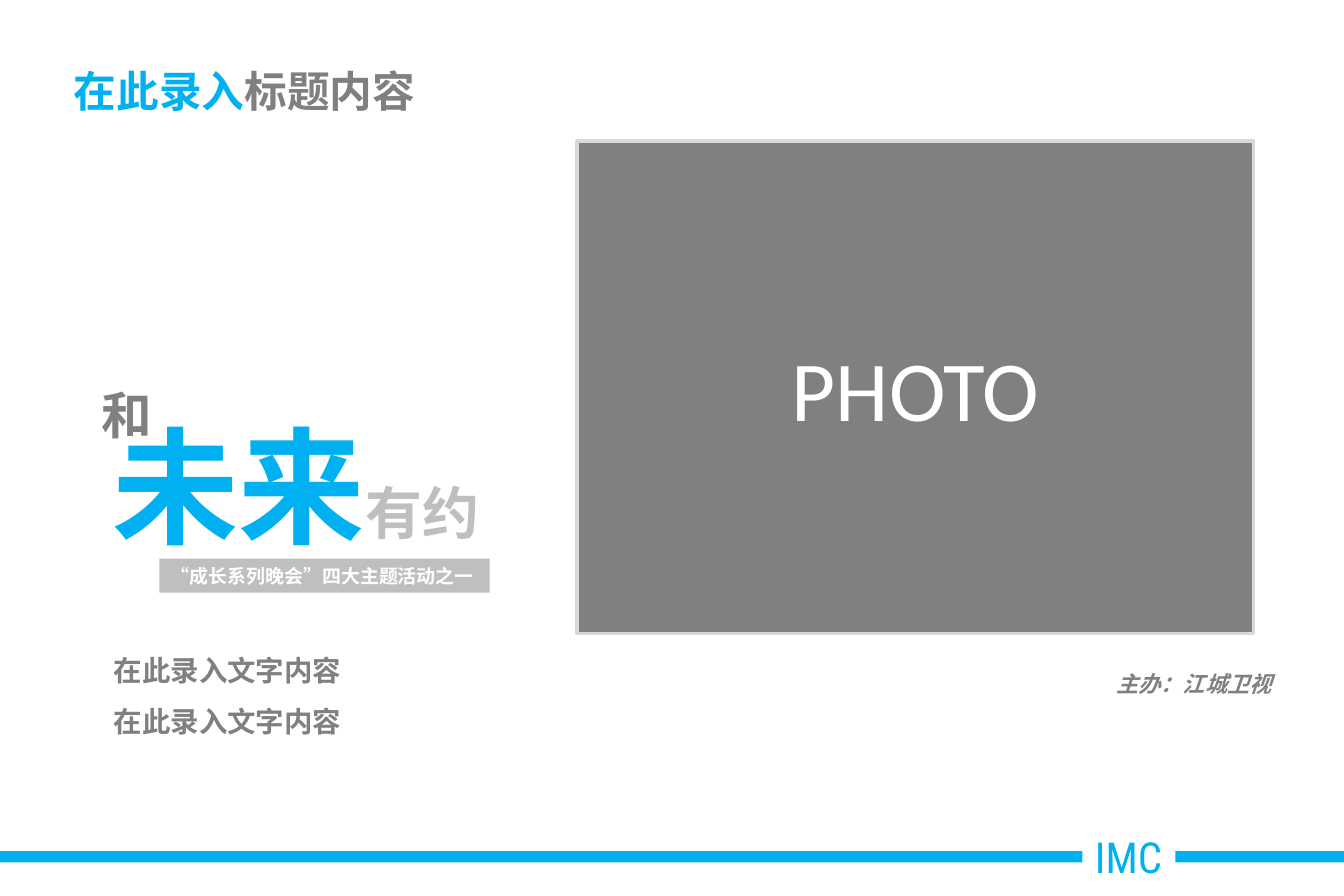
from dataclasses import dataclass

from lxml.etree import SubElement
from pptx import Presentation
from pptx.dml.color import RGBColor
from pptx.enum.shapes import MSO_SHAPE as Kind
from pptx.enum.text import MSO_ANCHOR as Anchor, MSO_AUTO_SIZE as Fit, PP_ALIGN as Align
from pptx.oxml.ns import qn
from pptx.shapes.autoshape import Shape
from pptx.slide import Slide
from pptx.util import Cm, Pt

BLUE = RGBColor(0x00, 0xB0, 0xF0)
GRAY = RGBColor(0x80, 0x80, 0x80)
SILVER = RGBColor(0xBF, 0xBF, 0xBF)
PALE = RGBColor(0xD9, 0xD9, 0xD9)
WHITE = RGBColor(0xFF, 0xFF, 0xFF)

HAN = "Noto Sans CJK SC"
WIDE = (0.28, 0.15)
SLIM = (0.25, 0.13)


@dataclass(frozen=True)
class Run:
    text: str
    size: float
    color: RGBColor
    face: str = HAN
    bold: bool = True
    slant: bool = False


@dataclass(frozen=True)
class Box:
    left: float
    top: float
    width: float
    height: float
    lines: tuple[tuple[Run, ...], ...] = ()
    fill: RGBColor | None = None
    edge: RGBColor | None = None
    inset: tuple[float, float] = SLIM
    wrap: bool = False
    fit: Fit = Fit.SHAPE_TO_FIT_TEXT
    anchor: Anchor = Anchor.TOP
    align: Align = Align.LEFT
    space: float = 1.0


def set_all(item: object, form: dict[str, object]) -> None:
    for name, value in form.items():
        setattr(item, name, value)


def add_frame(slide: Slide, box: Box) -> Shape:
    area = [Cm(n) for n in (box.left, box.top, box.width, box.height)]
    if box.fill is None:
        return slide.shapes.add_textbox(*area)
    shape = slide.shapes.add_shape(Kind.RECTANGLE, *area)
    shape.shadow.inherit = False
    shape.fill.solid()
    shape.fill.fore_color.rgb = box.fill
    if box.edge is None:
        shape.line.fill.background()
    else:
        shape.line.color.rgb = box.edge
        shape.line.width = Pt(2)
    return shape


def draw_box(slide: Slide, box: Box) -> None:
    frame = add_frame(slide, box).text_frame
    if not box.lines:
        return
    side, edge = (Cm(n) for n in box.inset)
    set_all(frame, {
        "margin_left": side, "margin_right": side,
        "margin_top": edge, "margin_bottom": edge,
        "word_wrap": box.wrap, "auto_size": box.fit,
        "vertical_anchor": box.anchor,
    })
    for i, line in enumerate(box.lines):
        para = frame.add_paragraph() if i else frame.paragraphs[0]
        set_all(para, {"alignment": box.align, "line_spacing": box.space})
        for part in line:
            run = para.add_run()
            run.text = part.text
            set_all(run.font, {
                "size": Pt(part.size), "name": part.face,
                "bold": part.bold, "italic": part.slant,
            })
            run.font.color.rgb = part.color
            SubElement(run.font._element, qn("a:ea"), typeface=part.face)


ENTRY = (Run("在此录入文字内容", 18, GRAY),)

BAR = Box(0, 19, 30, 0.25, fill=BLUE)
MARK = Box(24.16, 18.39, 2.08, 1.45,
           ((Run("IMC", 27, BLUE, "Roboto Condensed", False),),),
           fill=WHITE, inset=WIDE)
HOST = Box(24.64, 14.81, 4.22, 0.89,
           ((Run("主办：江城卫视", 14, GRAY, slant=True),),), inset=WIDE)
BODY = Box(2.26, 14.05, 12.09, 2.46, (ENTRY,) * 2,
           inset=WIDE, wrap=True, space=1.5)
TITLE = Box(1.37, 1.24, 27, 1.57,
            ((Run("在此录入", 27, BLUE), Run("标题内容", 27, GRAY)),),
            inset=WIDE, wrap=True, fit=Fit.NONE, anchor=Anchor.MIDDLE)
THEME = Box(2.26, 8.99, 8.79, 3.68,
            ((Run("未来", 80, BLUE), Run("有约", 36, SILVER)),))
LEAD = Box(2.01, 8.43, 1.65, 1.63, ((Run("和", 32, GRAY),),))
TAG = Box(3.56, 12.47, 7.37, 0.76,
          ((Run("“成长系列晚会”四大主题活动之一", 12, WHITE),),), fill=SILVER)
PHOTO = Box(12.88, 3.15, 15.11, 11,
            ((Run("PHOTO", 54, WHITE, "Calibri", False),),),
            fill=GRAY, edge=PALE, wrap=True, fit=Fit.NONE,
            anchor=Anchor.MIDDLE, align=Align.CENTER)


def main() -> None:
    deck = Presentation()
    set_all(deck, {"slide_width": Cm(30), "slide_height": Cm(20)})
    slide = deck.slides.add_slide(deck.slide_layouts[6])
    for box in (BAR, MARK, HOST, BODY, TITLE, THEME, LEAD, TAG, PHOTO):
        draw_box(slide, box)
    deck.save("out.pptx")


if __name__ == "__main__":
    main()
